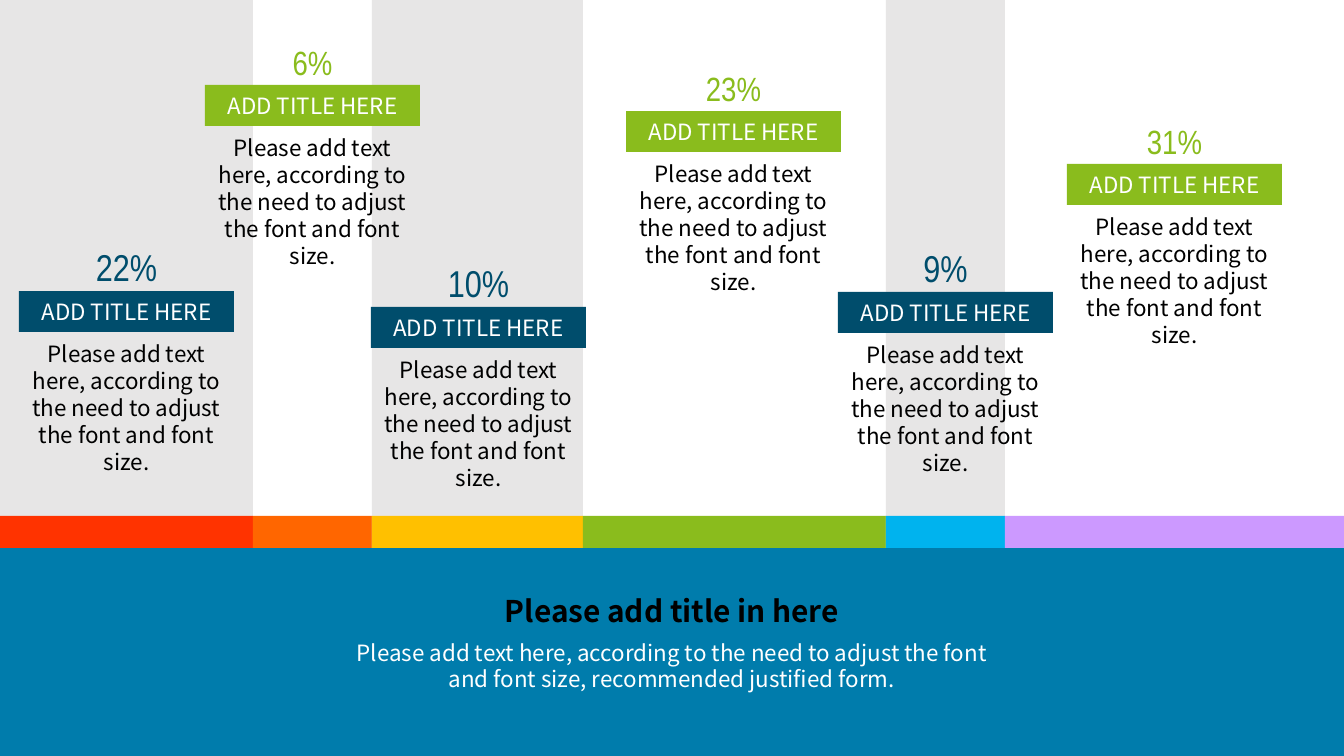
from pptx import Presentation
from pptx.dml.color import RGBColor
from pptx.enum.shapes import MSO_SHAPE
from pptx.enum.text import MSO_ANCHOR, MSO_AUTO_SIZE, PP_ALIGN
from pptx.util import Emu, Pt

RECTANGLE = MSO_SHAPE.RECTANGLE
TOP, MIDDLE = MSO_ANCHOR.TOP, MSO_ANCHOR.MIDDLE
CENTER = PP_ALIGN.CENTER
NO_FIT = MSO_AUTO_SIZE.NONE

SANS, NARROW = "Noto Sans CJK KR", "Arial Narrow"
WHITE, BLACK, GRAY = "FFFFFF", "000000", "E7E6E6"
NAVY, GREEN, BLUE = "004D6C", "8ABC1D", "007CAC"

SLIDE_WIDTH, SLIDE_HEIGHT = 1344, 756
STRIP_TOP, FOOTER_TOP = 516, 548

HEADING = "Please add title in here"
SUMMARY = ("Please add text here, according to the need to adjust the font "
           "and font size, recommended justified form.")
LABEL_TITLE = "ADD TITLE HERE"
LABEL_TEXT = ("Please add text here, according to the need to adjust the font "
              "and font size.")

# right edge, strip colour, gray column above
SEGMENTS = [
    (253, "FF3300", True),
    (372, "FF6600", False),
    (583, "FFC000", True),
    (886, GREEN, False),
    (1005, "00B3EE", True),
    (1344, "CC99FF", False),
]

# share, banner left, banner top, colour
LABELS = [
    ("22%", 19, 291, NAVY),
    ("6%", 205, 85, GREEN),
    ("10%", 371, 307, NAVY),
    ("23%", 626, 111, GREEN),
    ("9%", 838, 292, NAVY),
    ("31%", 1067, 164, GREEN),
]
BANNER_WIDTH, BANNER_HEIGHT = 215, 41
TEXT_WIDTH, TEXT_HEIGHT, TEXT_DROP = 224, 202, 43
# share size in points, box width, box height, rise above the banner
SHARE_STYLE = {NAVY: (20, 136, 59, 53), GREEN: (18, 153, 54, 50)}


def px(length):
    return Emu(round(length * 914400 / 134.4))


def rgb(value):
    return RGBColor.from_string(value)


def add_block(slide, left, top, width, height, color):
    block = slide.shapes.add_shape(
        RECTANGLE, px(left), px(top), px(width), px(height))
    block.shadow.inherit = False
    block.fill.solid()
    block.fill.fore_color.rgb = rgb(color)
    block.line.fill.background()
    return block


def write(box, text, size, color, font=SANS, bold=False, wrap=True,
          anchor=TOP, after=0):
    frame = box.text_frame
    frame.text = text
    frame.word_wrap = wrap
    frame.auto_size = NO_FIT
    frame.vertical_anchor = anchor
    paragraph = frame.paragraphs[0]
    paragraph.alignment = CENTER
    paragraph.space_before = Pt(0)
    paragraph.space_after = Pt(after)
    paragraph.font.name = font
    paragraph.font.size = Pt(size)
    paragraph.font.bold = bold
    paragraph.font.color.rgb = rgb(color)


def add_text(slide, left, top, width, height, text, size, color, font=SANS):
    box = slide.shapes.add_textbox(px(left), px(top), px(width), px(height))
    write(box, text, size, color, font, after=6)


def place_in_front(box, left, top, width, height):
    box.left, box.top = px(left), px(top)
    box.width, box.height = px(width), px(height)
    box.element.getparent().append(box.element)


def add_label(slide, share, left, top, color):
    middle = left + BANNER_WIDTH / 2
    banner = add_block(slide, left, top, BANNER_WIDTH, BANNER_HEIGHT, color)
    write(banner, LABEL_TITLE, 12, WHITE, wrap=False, anchor=MIDDLE)
    add_text(slide, middle - TEXT_WIDTH / 2, top + TEXT_DROP,
             TEXT_WIDTH, TEXT_HEIGHT, LABEL_TEXT, 12, BLACK)
    size, width, height, rise = SHARE_STYLE[color]
    add_text(slide, middle - width / 2, top - rise, width, height,
             share, size, color, NARROW)


def main():
    deck = Presentation()
    deck.slide_width, deck.slide_height = px(SLIDE_WIDTH), px(SLIDE_HEIGHT)
    slide = deck.slides.add_slide(deck.slide_layouts[0])

    add_block(slide, 0, FOOTER_TOP, SLIDE_WIDTH, SLIDE_HEIGHT - FOOTER_TOP, BLUE)
    left = 0
    for right, color, shaded in SEGMENTS:
        if shaded:
            add_block(slide, left, 0, right - left, FOOTER_TOP, GRAY)
        add_block(slide, left, STRIP_TOP, right - left,
                  FOOTER_TOP - STRIP_TOP, color)
        left = right

    title, summary = slide.placeholders
    place_in_front(title, 444, 586, 456, 50)
    write(title, HEADING, 16, BLACK, bold=True, wrap=False)
    place_in_front(summary, 339, 632, 666, 94)
    write(summary, SUMMARY, 12, WHITE, after=6)

    for label in LABELS:
        add_label(slide, *label)
    deck.save("out.pptx")


if __name__ == "__main__":
    main()
